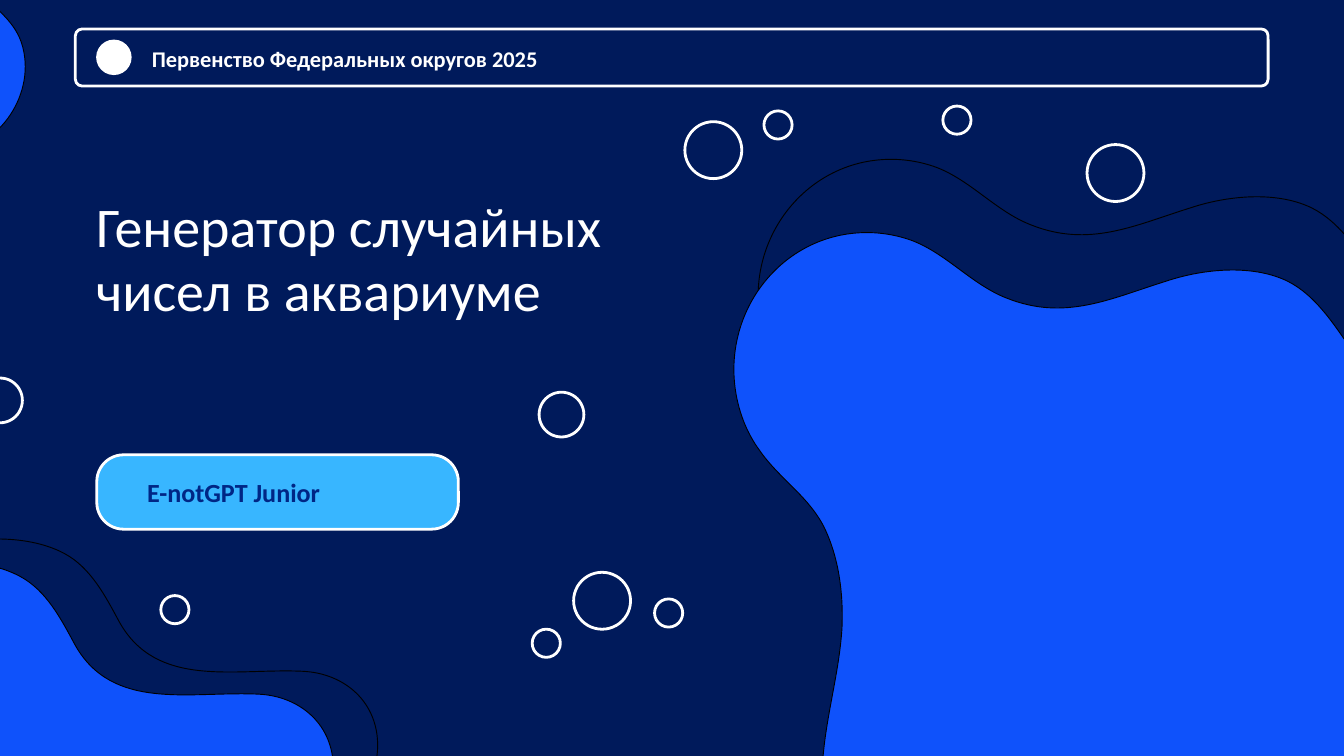
from pptx import Presentation
from pptx.dml.color import RGBColor
from pptx.enum.shapes import MSO_SHAPE
from pptx.enum.text import MSO_AUTO_SIZE
from pptx.oxml.ns import qn
from pptx.util import Pt

HUES = {
    "navy": "001A5B",
    "blue": "0F52FB",
    "sky": "38B6FF",
    "ink": "002685",
    "white": "FFFFFF",
    "black": "000000",
}

# Start point, then two handles and an end point for each curve
BLOB = [
    (1134, 308),
    (1196, 311), (1246, 354), (1245, 420),
    (1244, 483), (1193, 534), (1130, 534),
    (1077, 540), (974, 576), (1017, 650),
    (1037, 687), (1064, 705), (1065, 750),
    (1067, 825), (994, 894), (919, 876),
    (897, 871), (877, 860), (857, 852),
    (769, 815), (671, 829), (592, 883),
    (525, 928), (476, 997), (395, 1019),
    (309, 1041), (214, 1022), (146, 964),
    (88, 914), (50, 839), (51, 762),
    (51, 681), (92, 607), (107, 529),
    (115, 483), (115, 433), (99, 389),
    (82, 345), (45, 317), (23, 276),
    (8, 250), (0, 219), (0, 187),
    (0, 84), (84, 0), (187, 0),
    (217, 0), (246, 7), (272, 20),
    (318, 44), (347, 89), (393, 113),
    (470, 154), (537, 131), (617, 117),
    (668, 107), (733, 108), (779, 133),
    (818, 154), (840, 197), (860, 234),
    (916, 335), (1033, 303), (1134, 308),
]


def paint(shape, fill=None, line=None, weight=3):
    shape.shadow.inherit = False
    if fill:
        shape.fill.solid()
        shape.fill.fore_color.rgb = RGBColor.from_string(HUES[fill])
    else:
        shape.fill.background()
    if line:
        shape.line.color.rgb = RGBColor.from_string(HUES[line])
        shape.line.width = Pt(weight)
    else:
        shape.line.fill.background()


def write(box, text, size, hue, bold=False, wrap=False):
    """Add a one-run text box at box and return its text frame."""
    frame = slide.shapes.add_textbox(*map(Pt, box)).text_frame
    frame.word_wrap = wrap
    frame.auto_size = MSO_AUTO_SIZE.SHAPE_TO_FIT_TEXT
    run = frame.paragraphs[0].add_run()
    run.text = text
    run.font.name = "Calibri"
    run.font.size = Pt(size)
    run.font.bold = bold
    run.font.color.rgb = RGBColor.from_string(HUES[hue])
    return frame


deck = Presentation()
deck.slide_width, deck.slide_height = Pt(1440), Pt(810)
slide = deck.slides.add_slide(deck.slide_layouts[6])
slide.background.fill.solid()
slide.background.fill.fore_color.rgb = RGBColor.from_string(HUES["navy"])

# Waves: each is the same blob, moved, sized and turned
large, small = (953.28, 822.96), (896.4, 749.52)
waves = [
    (842.4, 127.44, large, -7.1, "navy"),
    (-491.04, 497.52, small, 0, "navy"),
    (-762.48, -432, small, -9, "blue"),
    (-538.56, 522, small, 0, "blue"),
    (816.48, 205.92, large, -7.1, "blue"),
]
for left, top, size, turn, hue in waves:
    pen = slide.shapes.build_freeform(*BLOB[0], scale=Pt(0.72))
    pen.add_line_segments(BLOB[1:], close=True)
    wave = pen.convert_to_shape()
    # Turn each three straight steps into one curve
    steps = list(wave.element.iter(qn("a:lnTo")))
    for i in range(0, len(steps), 3):
        curve = steps[i]
        curve.tag = qn("a:cubicBezTo")
        for step in steps[i + 1:i + 3]:
            curve.append(step[0])
            step.getparent().remove(step)
    wave.left, wave.top = Pt(left), Pt(top)
    wave.width, wave.height = map(Pt, size)
    wave.rotation = turn
    paint(wave, hue, "black", 1)

# Header bar and name pill
frames = [
    ((80.7, 31, 1278, 61.2), 0.12, None),
    ((103.7, 487.3, 387.4, 79.7), 0.36, "sky"),
]
for box, curve, hue in frames:
    frame = slide.shapes.add_shape(MSO_SHAPE.ROUNDED_RECTANGLE, *map(Pt, box))
    frame.adjustments[0] = curve
    paint(frame, hue, "white")

dot = slide.shapes.add_shape(MSO_SHAPE.OVAL, Pt(103), Pt(42.4), Pt(38), Pt(38))
paint(dot, "white")

# Bubbles: centres by size
bubbles = {
    61: [(764.3, 160.9), (645.1, 643.7), (1195.2, 185.4)],
    48: [(0, 429), (601.6, 444.2)],
    30.2: [(833.6, 133.9), (187.4, 653.2), (1025.3, 128.7),
           (585.3, 689.2), (716.4, 656.8)],
}
for size, spots in bubbles.items():
    for x, y in spots:
        bubble = slide.shapes.add_shape(
            MSO_SHAPE.OVAL, Pt(x - size / 2), Pt(y - size / 2), Pt(size), Pt(size))
        paint(bubble, line="white")

title = write((103, 209.5, 659.5, 209.5), "Генератор случайных чисел в аквариуме",
              60, "white", wrap=True)
title.margin_left = title.margin_right = title.margin_top = title.margin_bottom = 0
title.paragraphs[0].line_spacing = 0.96
write((150.5, 506.9, 302.4, 41), "E-notGPT Junior", 28, "ink", bold=True)
write((155.5, 44.6, 610.6, 36), "Первенство Федеральных округов 2025",
      24, "white", bold=True)

deck.save("out.pptx")
